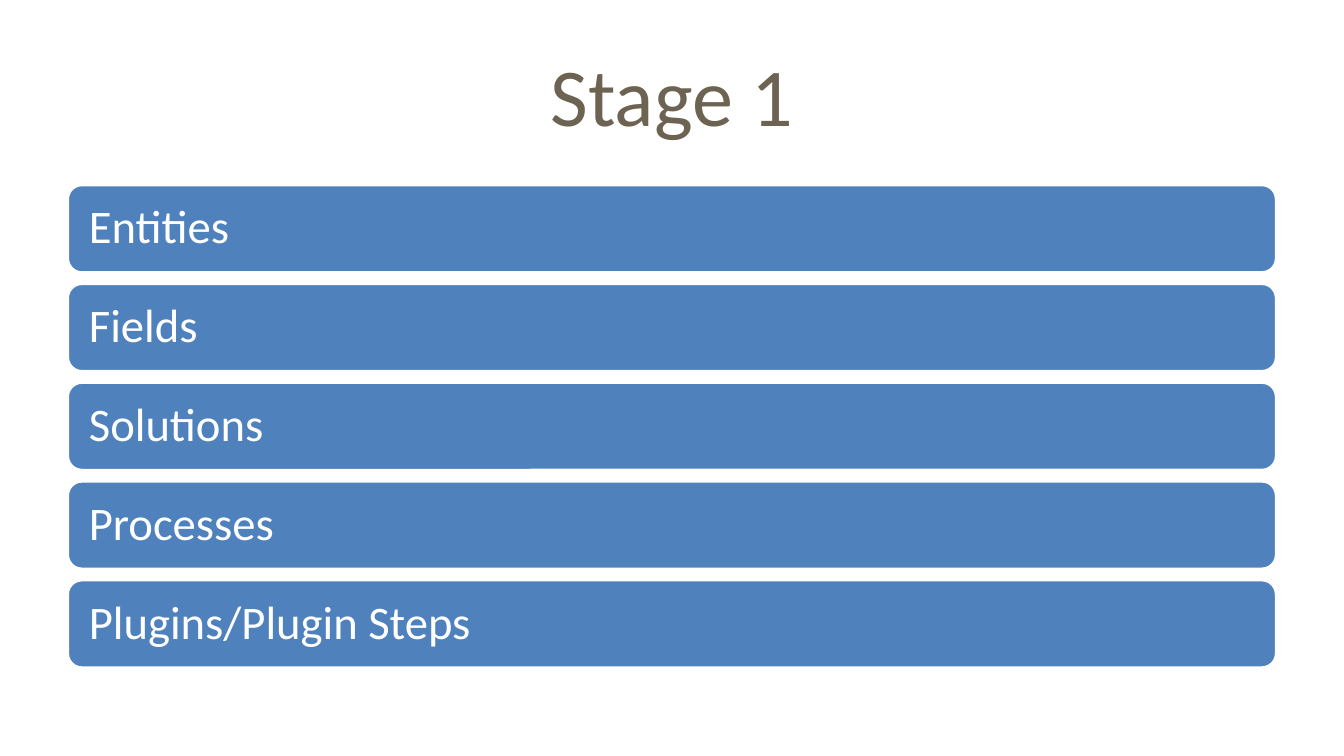
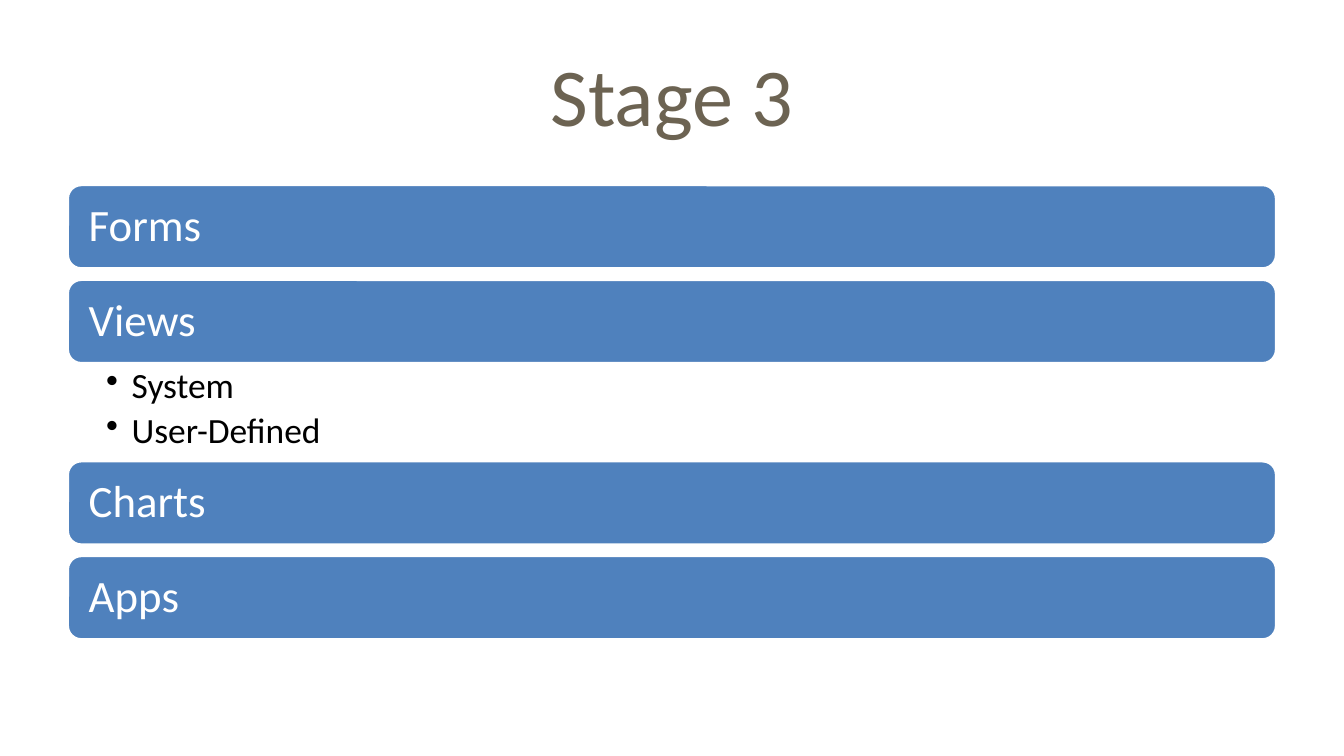
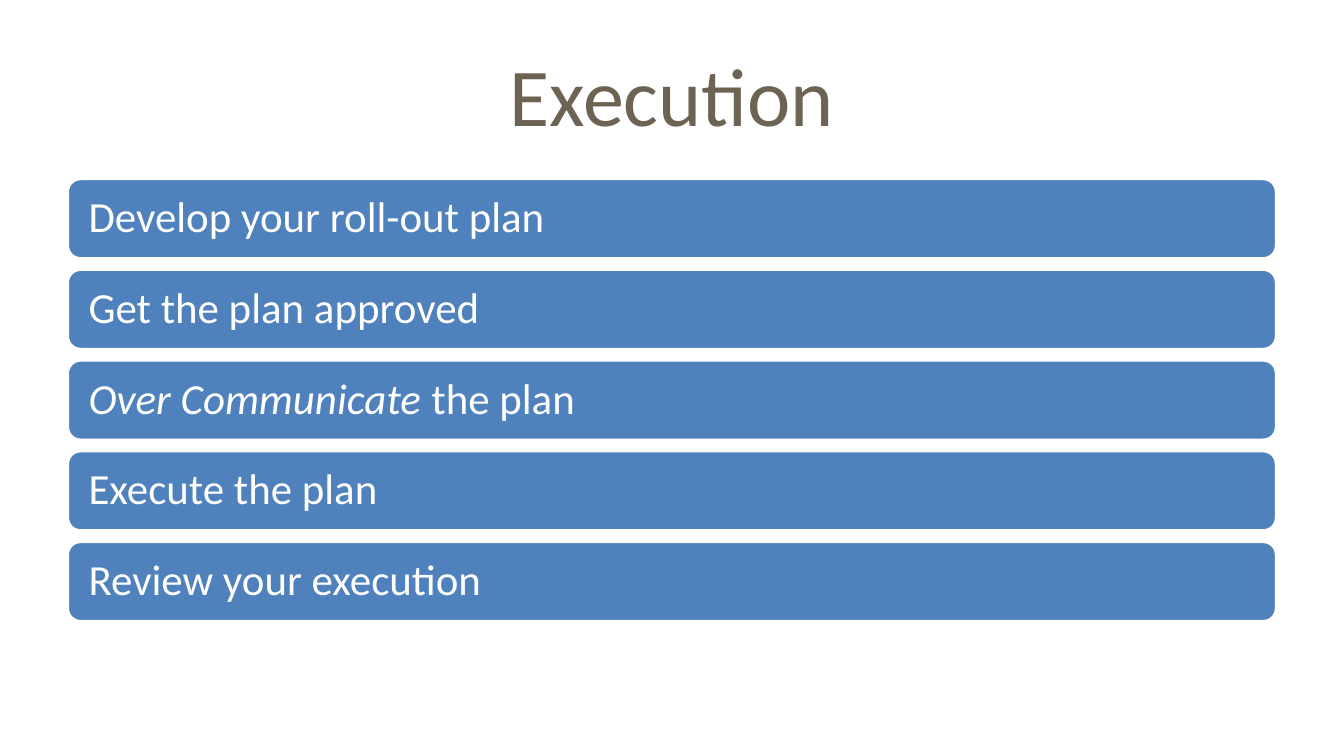
from dataclasses import dataclass

from lxml.etree import SubElement
from pptx import Presentation
from pptx.dml.color import RGBColor
from pptx.enum.shapes import MSO_SHAPE
from pptx.enum.text import MSO_ANCHOR, MSO_AUTO_SIZE, PP_ALIGN
from pptx.oxml.ns import qn
from pptx.util import Inches, Pt


@dataclass(frozen=True)
class Theme:
    font: str = "Calibri"
    title_color: RGBColor = RGBColor(0x6C, 0x63, 0x52)
    bar_color: RGBColor = RGBColor(0x4F, 0x81, 0xBD)
    light: RGBColor = RGBColor(0xFF, 0xFF, 0xFF)
    dark: RGBColor = RGBColor(0, 0, 0)
    title_size: int = 44
    bullet_size: int = 19
    line_spacing: float = 0.9


class Deck:
    """Slides on a grid of 20 columns and 75 rows; bars are one row apart."""

    COLS, ROWS = 20, 75
    LEFT, SPAN = 1, 18
    GAP = 1
    LIST_ROWS = 9.6

    def __init__(self, theme):
        self.theme = theme
        self.prs = Presentation()
        self.prs.slide_width = Inches(10)
        self.prs.slide_height = Inches(5.625)
        self.s = None

    def box(self, top, rows):
        col = self.prs.slide_width / self.COLS
        row = self.prs.slide_height / self.ROWS
        lengths = (self.LEFT * col, top * row, self.SPAN * col, rows * row)
        return [round(length) for length in lengths]

    def style(self, font, size, color):
        font.name = self.theme.font
        font.size = Pt(size)
        font.color.rgb = color

    def frame(self, sp, insets, anchor):
        tf = sp.text_frame
        tf.word_wrap = True
        tf.auto_size = MSO_AUTO_SIZE.NONE
        tf.vertical_anchor = anchor
        (tf.margin_left, tf.margin_top,
         tf.margin_right, tf.margin_bottom) = map(Inches, insets)
        return tf

    def add_slide(self, title):
        self.s = self.prs.slides.add_slide(self.prs.slide_layouts[5])
        sp = self.s.shapes.title
        sp.left, sp.top, sp.width, sp.height = self.box(3, 12.5)
        tf = self.frame(sp, (0.1, 0.05, 0.1, 0.05), MSO_ANCHOR.MIDDLE)
        tf.text = title
        p = tf.paragraphs[0]
        p.alignment = PP_ALIGN.CENTER
        self.style(p.runs[0].font, self.theme.title_size, self.theme.title_color)

    def add_bar(self, top, rows, text, size, emphasis=""):
        sp = self.s.shapes.add_shape(MSO_SHAPE.ROUNDED_RECTANGLE, *self.box(top, rows))
        sp.shadow.inherit = False
        sp.fill.solid()
        sp.fill.fore_color.rgb = self.theme.bar_color
        sp.line.color.rgb = self.theme.light
        sp.line.width = Pt(2)
        tf = self.frame(sp, (0.13, 0.1, 0.13, 0.1), MSO_ANCHOR.MIDDLE)
        p = tf.paragraphs[0]
        p.text = emphasis or text
        if emphasis:
            p.runs[0].font.italic = True
            p.add_run().text = text
        p.alignment = PP_ALIGN.LEFT
        p.line_spacing = self.theme.line_spacing
        for r in p.runs:
            self.style(r.font, size, self.theme.light)

    def add_bullets(self, top, items):
        sp = self.s.shapes.add_textbox(*self.box(top, self.LIST_ROWS))
        tf = self.frame(sp, (0.29, 0.03, 0.19, 0.03), MSO_ANCHOR.TOP)
        tf.text = "\n".join(items)
        for p in tf.paragraphs:
            p.level = 1
            p.line_spacing = self.theme.line_spacing
            p.space_after = Pt(3.5)
            pPr = p._p.get_or_add_pPr()
            pPr.set("marL", str(Inches(0.19)))
            pPr.set("indent", str(-Inches(0.19)))
            SubElement(pPr, qn("a:buChar"), char="•")
            self.style(p.runs[0].font, self.theme.bullet_size, self.theme.dark)

    def add_stack(self, top, size, entries):
        """Stack bars downwards; a list entry sits flush between two bars."""
        rows = 0.4 * (size - 3)
        for entry in entries:
            if isinstance(entry, list):
                top -= self.GAP
                self.add_bullets(top, entry)
                top += self.LIST_ROWS
            else:
                emphasis, text = entry if isinstance(entry, tuple) else ("", entry)
                self.add_bar(top, rows, text, size, emphasis)
                top += rows + self.GAP


# Title, first bar's row, type size, stacked entries
SLIDES = [
    ("Stage 1", 18.3, 25,
     ["Entities", "Fields", "Solutions", "Processes", "Plugins/Plugin Steps"]),
    ("Stage 3", 18.3, 24,
     ["Forms", "Views", ["System", "User-Defined"], "Charts", "Apps"]),
    ("Execution", 17.7, 23,
     ["Develop your roll-out plan", "Get the plan approved",
      ("Over Communicate", " the plan"), "Execute the plan",
      "Review your execution"]),
]


def main():
    deck = Deck(Theme())
    for title, top, size, entries in SLIDES:
        deck.add_slide(title)
        deck.add_stack(top, size, entries)
    deck.prs.save("out.pptx")


if __name__ == "__main__":
    main()
